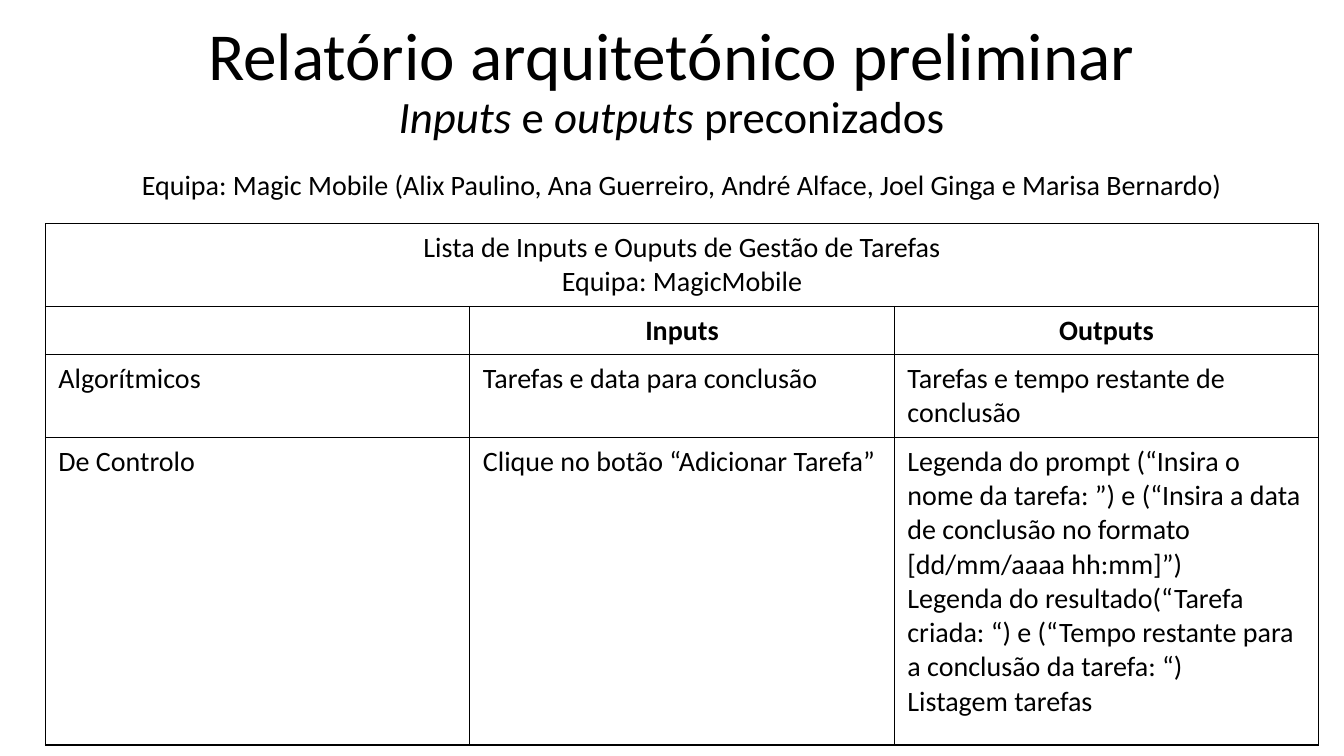
from lxml import etree
from pptx import Presentation
from pptx.dml.color import RGBColor
from pptx.enum.text import MSO_ANCHOR, MSO_AUTO_SIZE, PP_ALIGN
from pptx.oxml.ns import qn
from pptx.util import Inches, Pt

CENTER, LEFT = PP_ALIGN.CENTER, PP_ALIGN.LEFT
MIDDLE, TOP = MSO_ANCHOR.MIDDLE, MSO_ANCHOR.TOP
NO_FIT = MSO_AUTO_SIZE.NONE

# Content
HEADING = [("Relatório arquitetónico preliminar", False)]
SUBHEADING = [("Inputs", True), (" e ", False), ("outputs", True), (" preconizados", False)]
TEAM = "Equipa: Magic Mobile (Alix Paulino, Ana Guerreiro, André Alface, Joel Ginga e Marisa Bernardo)"
ROWS = [
    ["Lista de Inputs e Ouputs de Gestão de Tarefas\nEquipa: MagicMobile", "", ""],
    ["", "Inputs", "Outputs"],
    ["Algorítmicos", "Tarefas e data para conclusão", "Tarefas e tempo restante de conclusão"],
    ["De Controlo", "Clique no botão “Adicionar Tarefa”",
     "Legenda do prompt (“Insira o nome da tarefa: ”) e (“Insira a data de conclusão "
     "no formato [dd/mm/aaaa hh:mm]”)\n"
     "Legenda do resultado(“Tarefa criada: “) e (“Tempo restante para a conclusão "
     "da tarefa: “)\vListagem tarefas"],
]

# Style and layout
COLORS = {"text": "000000", "border": "000000", "cell": "FFFFFF"}
FONT = "Calibri"
MARGIN_LEFT, CONTENT_WIDTH = 0.45, 12.63
ROW_HEIGHTS = [0.82, 0.47, 0.82, 3.05]
HEADER_ROWS = 2
PADDING = Inches(0.13)


def style_paragraph(paragraph, size, align, bold=False):
    paragraph.alignment = align
    paragraph.font.name = FONT
    paragraph.font.size = Pt(size)
    paragraph.font.bold = bold
    paragraph.font.color.rgb = RGBColor.from_string(COLORS["text"])


def set_frame(frame, anchor):
    frame.word_wrap = True
    frame.auto_size = NO_FIT
    frame.vertical_anchor = anchor
    frame.margin_left = frame.margin_right = PADDING
    frame.margin_top = frame.margin_bottom = PADDING


def add_borders(cell):
    properties = cell._tc.get_or_add_tcPr()
    for side in ("a:lnL", "a:lnR", "a:lnT", "a:lnB"):
        line = etree.SubElement(properties, qn(side), w=str(Pt(1)))
        fill = etree.SubElement(line, qn("a:solidFill"))
        etree.SubElement(fill, qn("a:srgbClr"), val=COLORS["border"])


def main():
    deck = Presentation()
    deck.slide_width, deck.slide_height = Inches(13.33), Inches(7.5)
    slide = deck.slides.add_slide(deck.slide_layouts[5])

    # Title with subtitle line
    title = slide.shapes.title
    title.left, title.top = Inches(MARGIN_LEFT), Inches(0.21)
    title.width, title.height = Inches(12.42), Inches(1.23)
    set_frame(title.text_frame, MIDDLE)
    heading = title.text_frame.paragraphs[0]
    subheading = title.text_frame.add_paragraph()
    for paragraph, pieces, size in ((heading, HEADING, 48), (subheading, SUBHEADING, 32)):
        style_paragraph(paragraph, size, CENTER)
        paragraph.line_spacing = 0.9
        for words, italic in pieces:
            run = paragraph.add_run()
            run.text = words
            run.font.italic = italic

    # Team line
    team = slide.shapes.add_textbox(Inches(MARGIN_LEFT), Inches(1.53),
                                    Inches(CONTENT_WIDTH), Inches(0.59)).text_frame
    set_frame(team, TOP)
    team.text = TEAM
    style_paragraph(team.paragraphs[0], 20, CENTER)

    # Inputs and outputs table
    table = slide.shapes.add_table(len(ROWS), len(ROWS[0]), Inches(MARGIN_LEFT), Inches(2.22),
                                   Inches(CONTENT_WIDTH), Inches(sum(ROW_HEIGHTS))).table
    table.first_row = table.horz_banding = False
    for row, height in zip(table.rows, ROW_HEIGHTS):
        row.height = Inches(height)
    for r, texts in enumerate(ROWS):
        for c, words in enumerate(texts):
            cell = table.cell(r, c)
            cell.text = words
            cell.margin_left = cell.margin_right = PADDING
            cell.margin_top = cell.margin_bottom = Inches(0.07)
            add_borders(cell)
            cell.fill.solid()
            cell.fill.fore_color.rgb = RGBColor.from_string(COLORS["cell"])
            for paragraph in cell.text_frame.paragraphs:
                style_paragraph(paragraph, 20, CENTER if r < HEADER_ROWS else LEFT, bold=r == 1)
    table.cell(0, 0).merge(table.cell(0, len(ROWS[0]) - 1))

    deck.save("out.pptx")


if __name__ == "__main__":
    main()
